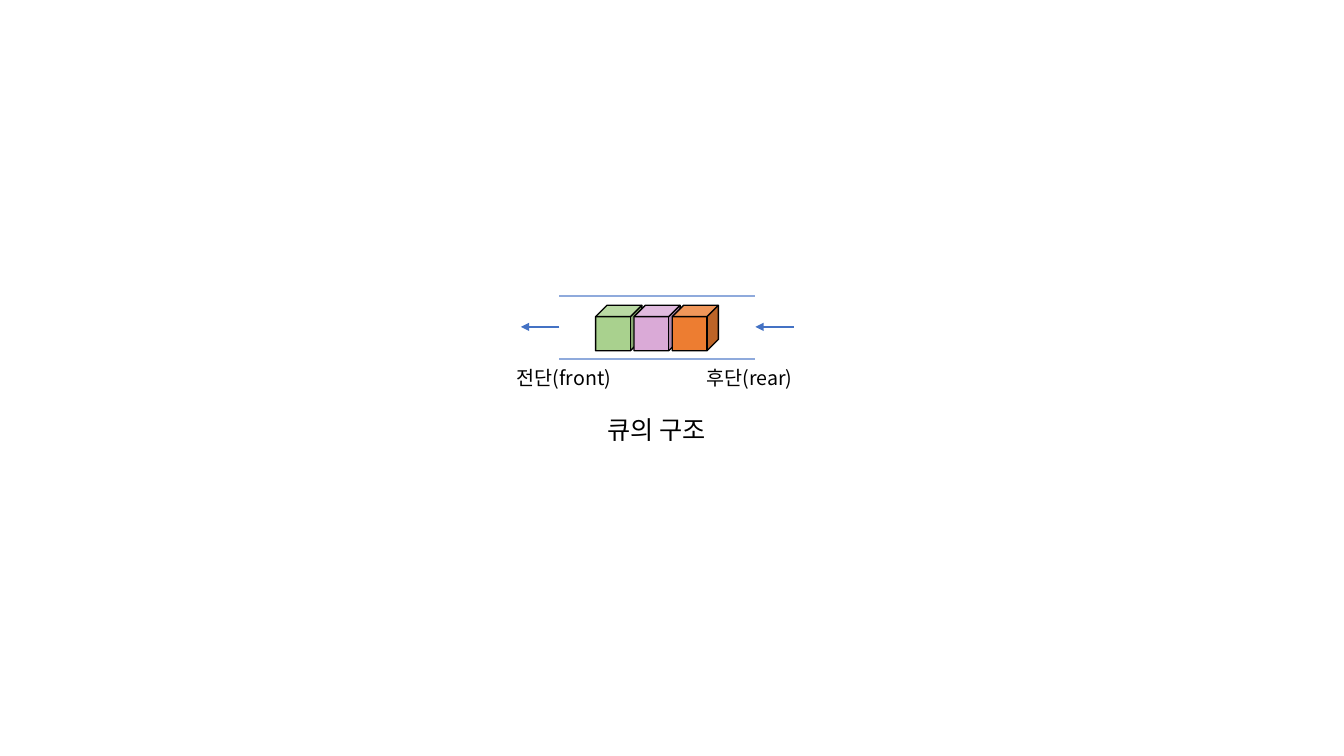
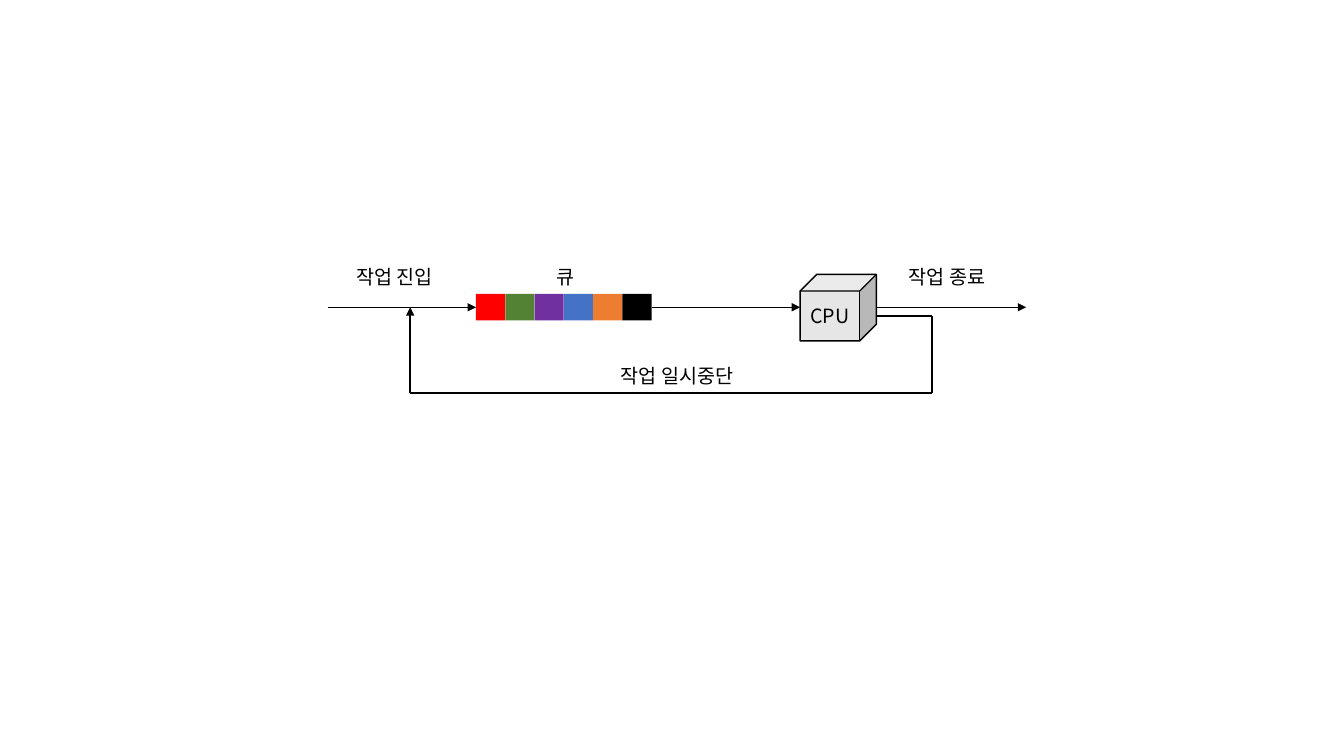
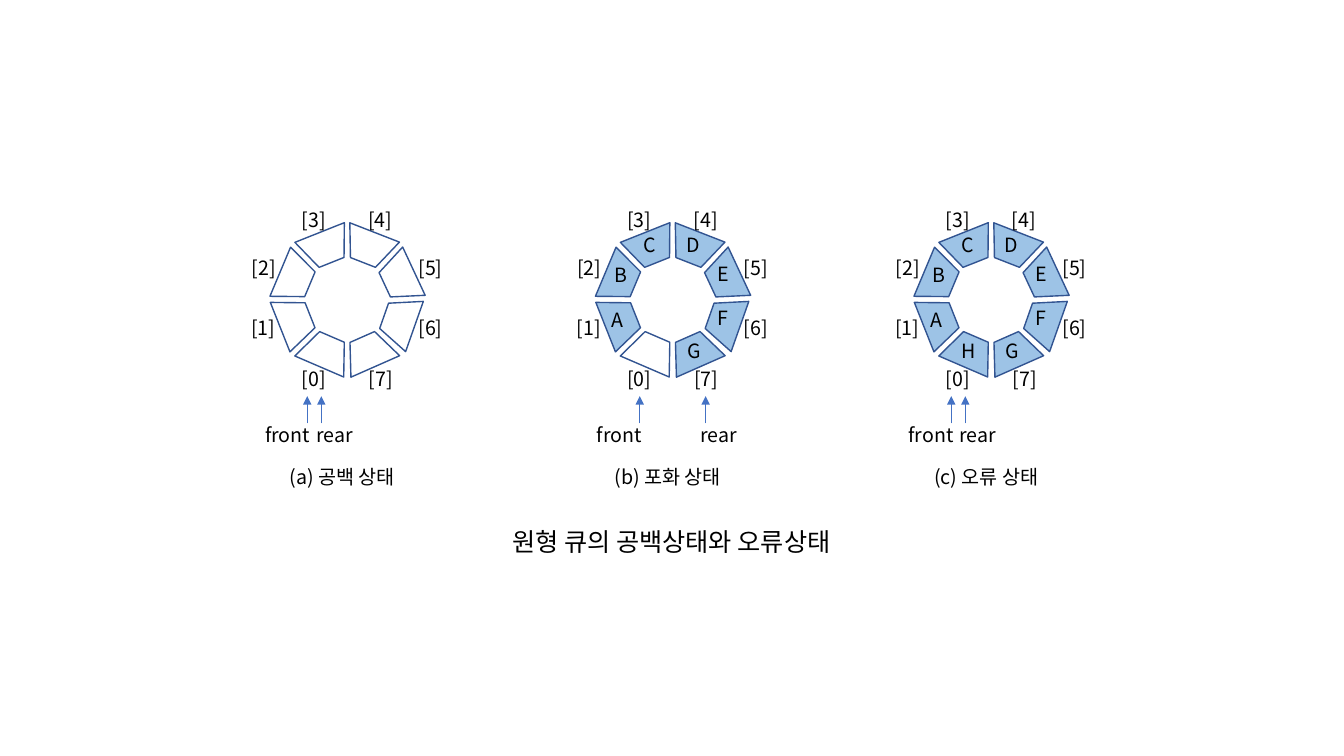
from dataclasses import dataclass
from math import cos, radians, sin
from typing import Optional

from lxml.etree import SubElement
from pptx import Presentation
from pptx.dml.color import RGBColor
from pptx.enum.shapes import MSO_CONNECTOR, MSO_SHAPE
from pptx.enum.text import MSO_ANCHOR, MSO_AUTO_SIZE, PP_ALIGN
from pptx.oxml.ns import qn
from pptx.shapes.autoshape import Shape
from pptx.slide import Slide
from pptx.text.text import TextFrame
from pptx.util import Pt


@dataclass(frozen=True)
class Theme:
    font: str = "Noto Sans CJK KR"
    label_size: float = 14
    caption_size: float = 18
    label_height: float = 24.5
    ink: str = "000000"
    paper: str = "FFFFFF"
    arrow: str = "4472C4"
    rail: str = "8FAADC"
    green_block: str = "A9D18E"
    pink_block: str = "DAAAD7"
    orange: str = "ED7D31"
    machine: str = "E7E6E6"
    slot_edge: str = "325491"
    slot_used: str = "9DC3E6"
    jobs: tuple[str, ...] = ("FF0000", "548235", "7030A0", "4472C4", "ED7D31", "000000")


@dataclass(frozen=True)
class Box:
    left: float
    top: float
    width: float
    height: float


@dataclass(frozen=True)
class Label:
    text: str
    left: float
    top: float
    width: float
    align: PP_ALIGN = PP_ALIGN.CENTER


@dataclass(frozen=True)
class Stroke:
    start: tuple[float, float]
    end: tuple[float, float]
    color: str
    weight: float = 1
    arrow: bool = True


@dataclass(frozen=True)
class Slot:
    rotation: float
    index_offset: tuple[float, float]
    item_offset: tuple[float, float]


@dataclass(frozen=True)
class Pointer:
    text: str
    arrow_offset: float
    text_offset: float


@dataclass(frozen=True)
class Ring:
    center_x: float
    state: str
    items: str
    pointers: tuple[Pointer, Pointer]


THEME = Theme()

SLOTS = (
    Slot(23.3, (-24, 56.5), (-15, 36.5)),
    Slot(68.4, (-60, 20.5), (-37.5, 15)),
    Slot(112.8, (-59.5, -22.5), (-35.5, -17.5)),
    Slot(158.3, (-24, -56.5), (-15, -39)),
    Slot(201.3, (23.5, -57), (16, -39)),
    Slot(245, (59.5, -22.5), (38, -18.5)),
    Slot(289.4, (59.5, 20.5), (38, 13.5)),
    Slot(336.2, (24, 56.5), (16.5, 36.5)),
)

RINGS = (
    Ring(248, "(a) 공백 상태", " " * 8,
         (Pointer("front", -28.5, -42.5), Pointer("rear", -18.5, -9))),
    Ring(480.5, "(b) 포화 상태", " ABCDEFG",
         (Pointer("front", -23.5, -38), Pointer("rear", 23.5, 33))),
    Ring(708, "(c) 오류 상태", "HABCDEFG",
         (Pointer("front", -28.5, -43), Pointer("rear", -18.5, -9.5))),
)


def write_text(frame: TextFrame, text: str, size: float, align: PP_ALIGN) -> None:
    para = frame.paragraphs[0]
    para.alignment = align
    span = para.add_run()
    span.text = text
    span.font.size = Pt(size)
    span.font.name = THEME.font
    span.font.color.rgb = RGBColor.from_string(THEME.ink)
    SubElement(span.font._element, qn("a:ea"), typeface=THEME.font)


def fit_frame(frame: TextFrame) -> None:
    frame.word_wrap = True
    frame.auto_size = MSO_AUTO_SIZE.SHAPE_TO_FIT_TEXT
    frame.vertical_anchor = MSO_ANCHOR.TOP


def draw_label(page: Slide, label: Label) -> None:
    frame = page.shapes.add_textbox(
        Pt(label.left), Pt(label.top), Pt(label.width), Pt(THEME.label_height)
    ).text_frame
    fit_frame(frame)
    write_text(frame, label.text, THEME.label_size, label.align)


def draw_centered_label(page: Slide, text: str, x: float, y: float, width: float,
                        align: PP_ALIGN = PP_ALIGN.CENTER) -> None:
    draw_label(page, Label(text, x - width / 2, y - THEME.label_height / 2, width, align))


def draw_caption(page: Slide, text: str, left: float, top: float) -> None:
    title = page.shapes.title
    title.left, title.top, title.width, title.height = Pt(left), Pt(top), Pt(310), Pt(29)
    fit_frame(title.text_frame)
    write_text(title.text_frame, text, THEME.caption_size, PP_ALIGN.CENTER)


def draw_shape(page: Slide, kind: MSO_SHAPE, box: Box, fill: str,
               edge: Optional[str] = None) -> Shape:
    shape = page.shapes.add_shape(kind, Pt(box.left), Pt(box.top), Pt(box.width), Pt(box.height))
    shape.shadow.inherit = False
    shape.fill.solid()
    shape.fill.fore_color.rgb = RGBColor.from_string(fill)
    if edge is None:
        shape.line.fill.background()
    else:
        shape.line.color.rgb = RGBColor.from_string(edge)
        shape.line.width = Pt(1)
    return shape


def draw_stroke(page: Slide, stroke: Stroke) -> None:
    line = page.shapes.add_connector(
        MSO_CONNECTOR.STRAIGHT, *(Pt(value) for value in stroke.start + stroke.end)
    )
    line.line.color.rgb = RGBColor.from_string(stroke.color)
    line.line.width = Pt(stroke.weight)
    if stroke.arrow:
        SubElement(line.line._get_or_add_ln(), qn("a:tailEnd"), type="triangle")
    SubElement(line._element.spPr, qn("a:effectLst"))


def draw_queue_structure(page: Slide) -> None:
    rail_left, rail_right, arrow_y, arrow_length = 399.5, 539.5, 233.5, 27.5
    for rail_y in (211.5, 256.5):
        draw_stroke(page, Stroke((rail_left, rail_y), (rail_right, rail_y),
                                 THEME.rail, 1.5, False))
    for position, fill in enumerate((THEME.green_block, THEME.pink_block, THEME.orange)):
        block = Box(425.5 + position * 27.35, 218, 33, 32.5)
        draw_shape(page, MSO_SHAPE.CUBE, block, fill, THEME.ink)
    for tip in (rail_right, rail_left - arrow_length):
        draw_stroke(page, Stroke((tip + arrow_length, arrow_y), (tip, arrow_y), THEME.arrow))
    for text, left in (("전단(front)", 362), ("후단(rear)", 497.5)):
        draw_label(page, Label(text, left, 258, 90.5, PP_ALIGN.LEFT))
    draw_caption(page, "큐의 구조", 314, 292.5)


def draw_scheduling(page: Slide) -> None:
    flow_y, return_y, bottom_y = 219.5, 226, 281
    queue_left, job_width = 340, 20.9
    queue_right = queue_left + job_width * len(THEME.jobs)
    cpu = Box(571.5, 196, 54.5, 47.5)
    cpu_right = cpu.left + cpu.width
    join_x, turn_x = 293, 665.5

    machine = draw_shape(page, MSO_SHAPE.CUBE, cpu, THEME.machine, THEME.ink)
    frame = machine.text_frame
    frame.margin_left = frame.margin_right = 0
    frame.vertical_anchor = MSO_ANCHOR.MIDDLE
    write_text(frame, "CPU", THEME.label_size, PP_ALIGN.CENTER)

    for position, fill in enumerate(THEME.jobs):
        job = Box(queue_left + position * job_width, 210, job_width, 19)
        draw_shape(page, MSO_SHAPE.RECTANGLE, job, fill)

    for start, end in ((234, queue_left), (queue_right, cpu.left), (cpu_right, 733)):
        draw_stroke(page, Stroke((start, flow_y), (end, flow_y), THEME.ink))
    draw_stroke(page, Stroke((join_x, bottom_y), (join_x, flow_y), THEME.ink))
    corners = ((join_x, bottom_y), (turn_x, bottom_y), (turn_x, return_y), (cpu_right, return_y))
    for start, end in zip(corners, corners[1:]):
        draw_stroke(page, Stroke(start, end, THEME.ink, 1.5, False))

    for label in (
        Label("작업 진입", 247.5, 186, 90.5, PP_ALIGN.LEFT),
        Label("큐", 358.5, 186, 90.5),
        Label("작업 종료", 642, 186, 90.5, PP_ALIGN.LEFT),
        Label("작업 일시중단", 427.5, 256.5, 112.5),
    ):
        draw_label(page, label)


def draw_ring(page: Slide, ring: Ring) -> None:
    center_y, radius, width, height = 214, 40.3, 38, 23
    for index, (slot, item) in enumerate(zip(SLOTS, ring.items)):
        used = item.strip() != ""
        angle = radians(22.5 + 45 * index)
        cell = Box(ring.center_x - radius * sin(angle) - width / 2,
                   center_y + radius * cos(angle) - height / 2, width, height)
        fill = THEME.slot_used if used else THEME.paper
        shape = draw_shape(page, MSO_SHAPE.TRAPEZOID, cell, fill, THEME.slot_edge)
        shape.adjustments[0] = 0.41
        shape.rotation = slot.rotation
        index_x, index_y = slot.index_offset
        draw_centered_label(page, f"[{index}]", ring.center_x + index_x, center_y + index_y, 40.5)
        if used:
            item_x, item_y = slot.item_offset
            draw_centered_label(page, item, ring.center_x + item_x, center_y + item_y,
                                26.5, PP_ALIGN.LEFT)
    for pointer in ring.pointers:
        arrow_x = ring.center_x + pointer.arrow_offset
        draw_stroke(page, Stroke((arrow_x, 302.5), (arrow_x, 283), THEME.arrow))
        draw_centered_label(page, pointer.text, ring.center_x + pointer.text_offset, 311, 65)
    draw_centered_label(page, ring.state, ring.center_x - 3.5, 340.5, 186.5)


def draw_circular_queue(page: Slide) -> None:
    for ring in RINGS:
        draw_ring(page, ring)
    draw_caption(page, "원형 큐의 공백상태와 오류상태", 324.5, 372)


def build() -> None:
    deck = Presentation()
    deck.slide_width, deck.slide_height = Pt(960), Pt(540)
    captioned = deck.slide_layouts.get_by_name("Title Only")
    plain = deck.slide_layouts.get_by_name("Blank")
    for layout, draw in (
        (captioned, draw_queue_structure),
        (plain, draw_scheduling),
        (captioned, draw_circular_queue),
    ):
        draw(deck.slides.add_slide(layout))
    deck.save("out.pptx")


build()
